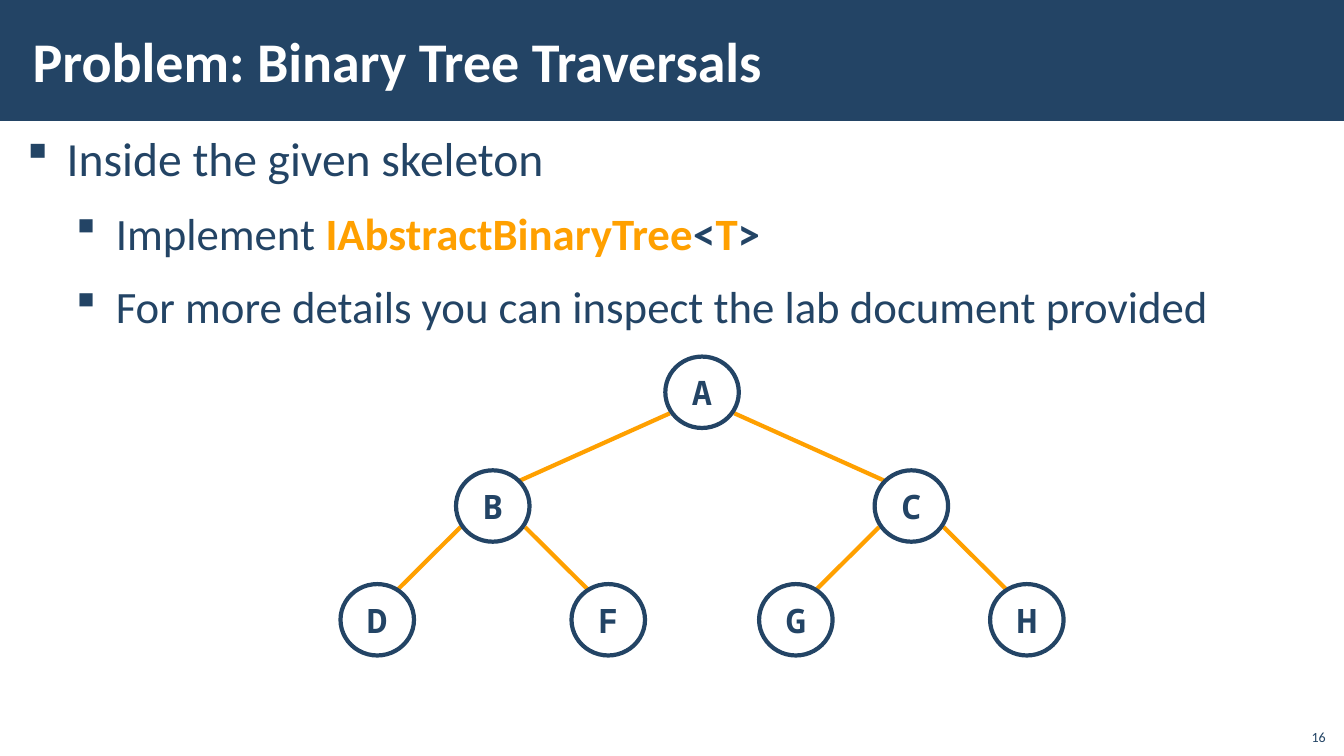
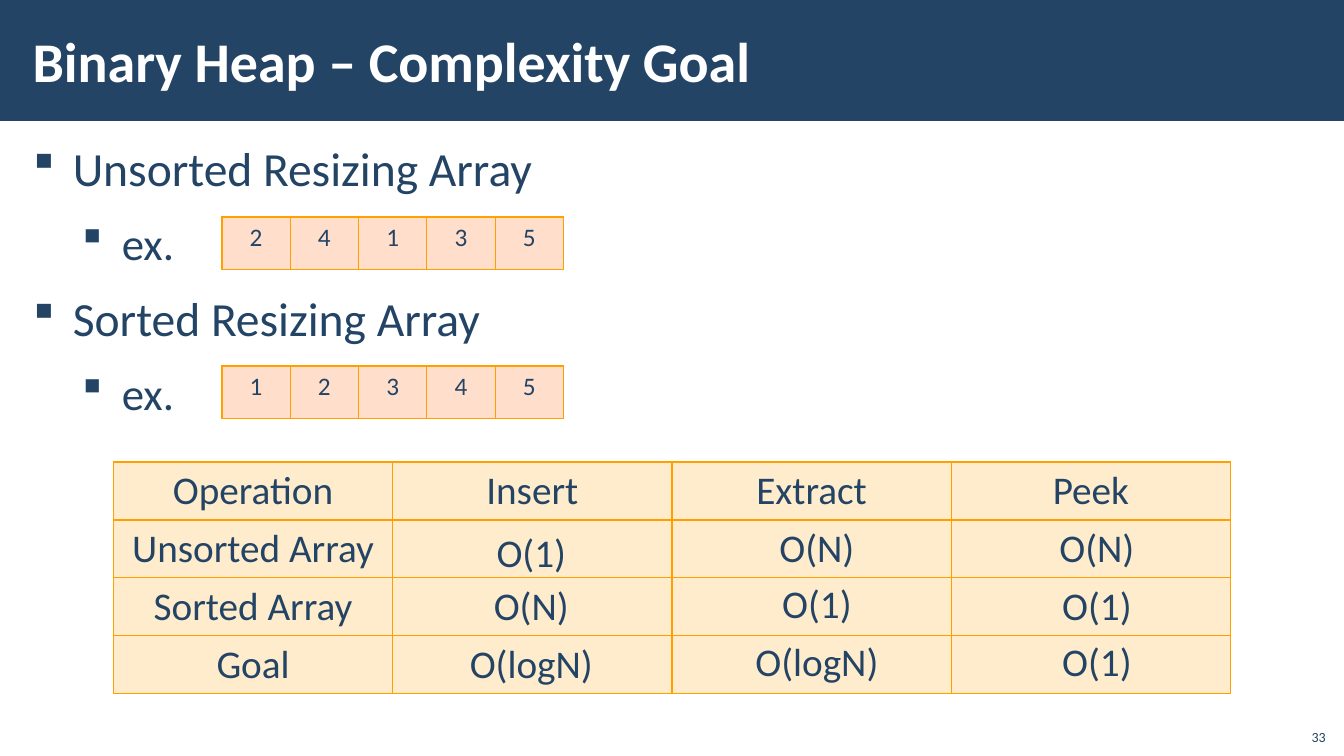
import lxml.etree
import pptx
import pptx.dml.color
import pptx.enum.shapes
import pptx.enum.text
import pptx.oxml.ns
import pptx.util

Pt = pptx.util.Pt
RGBColor = pptx.dml.color.RGBColor
ALIGN = pptx.enum.text.PP_ALIGN
ANCHOR = pptx.enum.text.MSO_ANCHOR
SHAPE = pptx.enum.shapes.MSO_SHAPE
qn = pptx.oxml.ns.qn

NAVY = RGBColor(0x23, 0x44, 0x65)
ORANGE = RGBColor(0xFF, 0xA0, 0x00)
WHITE = RGBColor(0xFF, 0xFF, 0xFF)
CREAM = RGBColor(0xFF, 0xEC, 0xCC)
PEACH = RGBColor(0xFF, 0xDF, 0xCC)


def write(paragraph, text, size=28, color=NAVY, bold=False, font="Calibri", align=ALIGN.LEFT):
    """Append one formatted run to the paragraph."""
    paragraph.alignment = align
    run = paragraph.add_run()
    run.text = text
    run.font.size = Pt(size)
    run.font.name = font
    run.font.bold = bold
    run.font.color.rgb = color


deck = pptx.Presentation()
deck.slide_width, deck.slide_height = Pt(960), Pt(540)
title_only = deck.slide_layouts[5]

# Each bullet is a level and its runs; a run is text, colour and bold
pages = [
    ("Problem: Binary Tree Traversals", "16", (10.8, 87.1), [
        (0, [("Inside the given skeleton", NAVY, False)]),
        (1, [("Implement ", NAVY, False), ("IAbstractBinaryTree", ORANGE, True),
             ("<", NAVY, True), ("T", ORANGE, True), (">", NAVY, True)]),
        (1, [("For more details you can inspect the lab document provided", NAVY, False)]),
    ]),
    ("Binary Heap – Complexity Goal", "33", (15.1, 94.3), [
        (0, [("Unsorted Resizing Array", NAVY, False)]),
        (1, [("ex.", NAVY, False)]),
        (0, [("Sorted Resizing Array", NAVY, False)]),
        (1, [("ex.", NAVY, False)]),
    ]),
]
BULLET_SIZES = (34, 32)
BULLET_INDENTS = (28.4, 63.4)
BULLET_HANG = 28.4

slides = []
for heading, number, (body_left, body_top), bullets in pages:
    slide = deck.slides.add_slide(title_only)
    slides.append(slide)

    title = slide.shapes.title
    title.left, title.top, title.width, title.height = Pt(14.8), Pt(8), Pt(765), Pt(70)
    body = slide.shapes.add_textbox(Pt(body_left), Pt(body_top), Pt(930), Pt(434))
    for frame in (title.text_frame, body.text_frame):
        frame.word_wrap = True
        frame.margin_left = frame.margin_right = Pt(8.5)
        frame.margin_top = frame.margin_bottom = Pt(2.8)
    title.text_frame.vertical_anchor = ANCHOR.MIDDLE
    write(title.text_frame.paragraphs[0], heading, size=40, color=WHITE, bold=True)

    for index, (level, runs) in enumerate(bullets):
        if index:
            paragraph = body.text_frame.add_paragraph()
            paragraph.space_before = Pt(6)
        else:
            paragraph = body.text_frame.paragraphs[0]
        paragraph.level = level
        paragraph.line_spacing = 1.05
        paragraph.space_after = Pt(6)
        properties = paragraph._p.get_or_add_pPr()
        properties.set("marL", str(Pt(BULLET_INDENTS[level])))
        properties.set("indent", str(-Pt(BULLET_HANG)))
        # "§" is the small square of Wingdings
        lxml.etree.SubElement(properties, qn("a:buFont")).set("typeface", "Wingdings")
        lxml.etree.SubElement(properties, qn("a:buChar")).set("char", "§")
        for text, color, bold in runs:
            write(paragraph, text, size=BULLET_SIZES[level], color=color, bold=bold)

    page_number = slide.shapes.add_textbox(Pt(925), Pt(513), Pt(29), Pt(23)).text_frame
    page_number.word_wrap = True
    page_number.vertical_anchor = ANCHOR.BOTTOM
    write(page_number.paragraphs[0], number, size=10, align=ALIGN.RIGHT)

tree_slide, heap_slide = slides

# The title band belongs to the layout, behind every title
band = tree_slide.shapes.add_shape(SHAPE.RECTANGLE, Pt(0), Pt(0), Pt(960), Pt(86.4))
band.shadow.inherit = False
band.fill.solid()
band.fill.fore_color.rgb = NAVY
band.line.fill.background()
title_only.shapes._spTree.insert(2, band._element)

# Binary tree: each node is placed from its parent
NODE_WIDTH, NODE_HEIGHT = 52.5, 51
ROOT_X, ROOT_Y, LEVEL_GAP = 501.5, 280.2, 81.25
BRANCH_SPREAD = (149.5, 82.5)
PARENT_REACH = (23, 15)
CHILD_REACH = ((19, 18), (14, 21))

# Node, parent, level of the parent, side
branches = [("B", "A", 0, -1), ("C", "A", 0, 1), ("D", "B", 1, -1),
            ("F", "B", 1, 1), ("G", "C", 1, -1), ("H", "C", 1, 1)]
centers = {"A": (ROOT_X, ROOT_Y)}
for node, parent, level, side in branches:
    parent_x, parent_y = centers[parent]
    x, y = parent_x + side * BRANCH_SPREAD[level], parent_y + LEVEL_GAP
    centers[node] = (x, y)
    reach_x, reach_y = CHILD_REACH[level]
    branch = tree_slide.shapes.add_connector(
        pptx.enum.shapes.MSO_CONNECTOR.STRAIGHT,
        Pt(parent_x + side * PARENT_REACH[0]), Pt(parent_y + PARENT_REACH[1]),
        Pt(x - side * reach_x), Pt(y - reach_y))
    branch.line.color.rgb = ORANGE
    branch.line.width = Pt(3)
    lxml.etree.SubElement(branch._element.spPr, qn("a:effectLst"))

for letter, (x, y) in centers.items():
    node = tree_slide.shapes.add_shape(
        SHAPE.OVAL, Pt(x - NODE_WIDTH / 2), Pt(y - NODE_HEIGHT / 2), Pt(NODE_WIDTH), Pt(NODE_HEIGHT))
    node.shadow.inherit = False
    node.fill.solid()
    node.fill.fore_color.rgb = WHITE
    node.line.color.rgb = NAVY
    node.line.width = Pt(3)
    node.text_frame.word_wrap = False
    node.text_frame.vertical_anchor = ANCHOR.MIDDLE
    write(node.text_frame.paragraphs[0], letter, size=24, bold=True,
          font="Noto Sans Mono", align=ALIGN.CENTER)

# Tables: left, top, column width, row height, text size, fill, rows
operations = [
    ("Operation", "Insert", "Extract", "Peek"),
    ("Unsorted Array", "", "", ""),
    ("Sorted Array", "", "", ""),
    ("Goal", "", "", ""),
]
tables = [
    (81, 330, 199.5, 41.4, 28, CREAM, operations),
    (158.5, 155, 48.8, 37.4, 18, PEACH, ["24135"]),
    (158.5, 261.4, 48.8, 37.4, 18, PEACH, ["12345"]),
]
for left, top, column_width, row_height, size, fill, rows in tables:
    column_count = len(rows[0])
    table = heap_slide.shapes.add_table(
        len(rows), column_count, Pt(left), Pt(top),
        Pt(column_width * column_count), Pt(row_height * len(rows))).table
    table.first_row = table.horz_banding = False
    for column in table.columns:
        column.width = Pt(column_width)
    for row, texts in zip(table.rows, rows):
        row.height = Pt(row_height)
        for cell, text in zip(row.cells, texts):
            cell_properties = cell._tc.get_or_add_tcPr()
            for edge in ("a:lnL", "a:lnR", "a:lnT", "a:lnB"):
                border = lxml.etree.SubElement(cell_properties, qn(edge))
                border.set("w", str(Pt(1)))
                border_fill = lxml.etree.SubElement(border, qn("a:solidFill"))
                lxml.etree.SubElement(border_fill, qn("a:srgbClr")).set("val", str(ORANGE))
            cell.fill.solid()
            cell.fill.fore_color.rgb = fill
            if text:
                write(cell.text_frame.paragraphs[0], text, size=size, align=ALIGN.CENTER)

# Complexities stand over the empty cells: text and top, by row
COST_CENTERS = (379.5, 583.5, 783.5)
COST_WIDTHS = {"O(1)": 65, "O(N)": 88, "O(logN)": 122}
costs = [
    [("O(1)", 373.7), ("O(N)", 370), ("O(N)", 370)],
    [("O(N)", 412), ("O(1)", 410.4), ("O(1)", 412)],
    [("O(logN)", 453.4), ("O(logN)", 451.4), ("O(1)", 451.4)],
]
for row in costs:
    for center, (text, top) in zip(COST_CENTERS, row):
        width = COST_WIDTHS[text]
        cost = heap_slide.shapes.add_textbox(Pt(center - width / 2), Pt(top), Pt(width), Pt(41))
        cost.text_frame.word_wrap = True
        write(cost.text_frame.paragraphs[0], text, align=ALIGN.CENTER)

deck.save("out.pptx")
